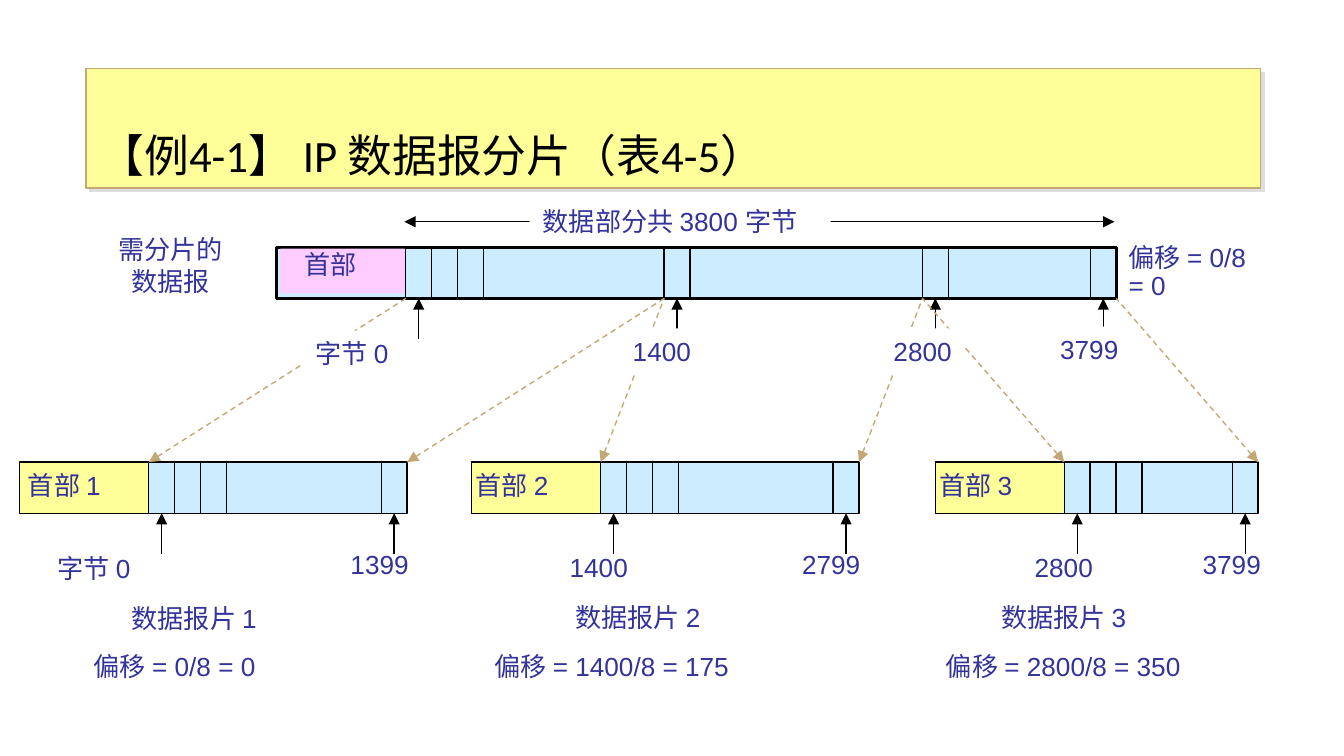
from typing import NamedTuple

from lxml import etree
from pptx import Presentation
from pptx import util as u
from pptx.dml import color
from pptx.enum import dml, shapes, text
from pptx.oxml import ns

Pt = u.Pt

COLORS = {
    "ink": "000000",
    "label": "333399",
    "data": "CCECFF",
    "source_header": "FFCCFF",
    "header": "FFFF99",
    "guide": "C2A874",
    "shadow": "DEDEDE",
    "paper": "FFFFFF",
}
CELL = 13.84
HEADER_CELLS = 5
BAR_HEIGHT = 27.4
POINTER_LENGTH = 21.6
SOURCE_LEFT, SOURCE_TOP, SOURCE_CELLS = 217.4, 132.5, 27.5
FRAGMENT_TOP = 247.6
LABEL_HEIGHT = 23.8
NUMBER_WIDTH, BYTE_WIDTH, NAME_WIDTH = 45.4, 60.5, 88.6


class Fragment(NamedTuple):
    data_left: float
    start_cell: float
    cells: float
    labels: list  # (words, left, top, width)


FRAGMENTS = [
    Fragment(79.7, 0, 10, [
        ("首部 1", 7.9, 247.7, BYTE_WIDTH),
        ("字节 0", 23.8, 292.5, BYTE_WIDTH),
        ("1399", 180.7, 290.2, NUMBER_WIDTH),
        ("数据报片 1", 63.4, 319, NAME_WIDTH),
        ("偏移 = 0/8 = 0", 43.2, 344.9, 108),
    ]),
    Fragment(321.8, 10, 10, [
        ("首部 2", 247.7, 247.7, BYTE_WIDTH),
        ("1400", 298.1, 291.6, NUMBER_WIDTH),
        ("2799", 422.6, 290.2, NUMBER_WIDTH),
        ("数据报片 2", 301, 318.4, NAME_WIDTH),
        ("偏移 = 1400/8 = 175", 257.8, 344.9, 147.6),
    ]),
    Fragment(570.2, 20, 7.5, [
        ("首部 3", 496.1, 247.7, BYTE_WIDTH),
        ("2800", 547.2, 291.6, NUMBER_WIDTH),
        ("3799", 637.2, 290.2, NUMBER_WIDTH),
        ("数据报片 3", 529.2, 318.4, NAME_WIDTH),
        ("偏移 = 2800/8 = 350", 499.7, 344.9, 147.6),
    ]),
]
SOURCE_LABELS = [
    ("首部", 156.2, 129.8, 42.5),
    ("偏移 = 0/8\n= 0", 597.6, 126, 84.2),
]
MASKING_LABELS = [
    ("数据部分共 3800 字节", 283.7, 106.6, 161.3),
    ("字节 0", 162, 177.1, BYTE_WIDTH),
    ("1400", 331.9, 175.9, NUMBER_WIDTH),
    ("2800", 471.6, 175.9, NUMBER_WIDTH),
    ("3799", 560.9, 175, NUMBER_WIDTH),
]


def rgb(name):
    return color.RGBColor.from_string(COLORS[name])


def apply_format(target, values):
    for name, value in values.items():
        setattr(target, name, value)


def paint(shape, fill, line=None, width=0.75):
    shape.fill.solid()
    shape.fill.fore_color.rgb = rgb(fill)
    if line:
        shape.line.color.rgb = rgb(line)
        shape.line.width = Pt(width)
    else:
        shape.line.fill.background()


def add_box(slide, left, top, width, height, fill, line=None, weight=0.75):
    box = slide.shapes.add_shape(
        shapes.MSO_SHAPE.RECTANGLE, Pt(left), Pt(top), Pt(width), Pt(height))
    box.shadow.inherit = False
    paint(box, fill, line, weight)


def add_line(slide, start, end, ink="ink", dash=None, arrows=()):
    """Draw a straight line; arrows names the ends, headEnd (start) or tailEnd."""
    line = slide.shapes.add_connector(
        shapes.MSO_CONNECTOR.STRAIGHT, *(Pt(value) for value in (*start, *end)))
    line.line.color.rgb = rgb(ink)
    apply_format(line.line, {"width": Pt(0.75), "dash_style": dash})
    outline = line.line._get_or_add_ln()
    for arrow in arrows:
        etree.SubElement(outline, ns.qn(f"a:{arrow}"), type="triangle")
    etree.SubElement(line._element.spPr, ns.qn("a:effectLst"))


def add_label(slide, words, left, top, width, height=LABEL_HEIGHT,
              align=text.PP_ALIGN.LEFT, fill=None):
    label = slide.shapes.add_textbox(Pt(left), Pt(top), Pt(width), Pt(height))
    if fill:
        paint(label, fill)
    frame = label.text_frame
    frame.text = words
    apply_format(frame, {"word_wrap": False,
                         "auto_size": text.MSO_AUTO_SIZE.SHAPE_TO_FIT_TEXT})
    for paragraph in frame.paragraphs:
        paragraph.alignment = align
        apply_format(paragraph.font, {"size": Pt(14), "name": "Arial"})
        paragraph.font.color.rgb = rgb("label")
    return frame


def add_dividers(slide, data_left, top, cells):
    for cell in cells:
        x = data_left + cell * CELL
        add_line(slide, (x, top), (x, top + BAR_HEIGHT))


def add_pointers(slide, data_left, top, cells):
    """Point upwards at the middle of each named byte cell."""
    bottom = top + BAR_HEIGHT
    for cell in cells:
        x = data_left + (cell + 0.5) * CELL
        add_line(slide, (x, bottom + POINTER_LENGTH), (x, bottom), arrows=["tailEnd"])


def add_title(slide):
    title = slide.shapes.title
    apply_format(title, {"left": Pt(46.1), "top": Pt(36.7),
                         "width": Pt(629.3), "height": Pt(64.1)})
    paint(title, "header", "guide")
    effects = etree.SubElement(title._element.spPr, ns.qn("a:effectLst"))
    shadow = etree.SubElement(
        effects, ns.qn("a:outerShdw"), dist=str(Pt(2.8)), dir="2700000",
        algn="ctr", rotWithShape="0")
    etree.SubElement(shadow, ns.qn("a:srgbClr"), val=COLORS["shadow"])
    frame = title.text_frame
    frame.text = "【例4-1】 IP 数据报分片（表4-5）"
    apply_format(frame, {"word_wrap": True,
                         "auto_size": text.MSO_AUTO_SIZE.NONE,
                         "vertical_anchor": text.MSO_ANCHOR.BOTTOM})
    heading = frame.paragraphs[0]
    heading.alignment = text.PP_ALIGN.LEFT
    apply_format(heading.font, {"size": Pt(24), "name": "Calibri"})
    heading.font.color.rgb = rgb("ink")


def add_source_datagram(slide):
    header_width = HEADER_CELLS * CELL
    left = SOURCE_LEFT - header_width
    add_box(slide, left, SOURCE_TOP, header_width + SOURCE_CELLS * CELL,
            BAR_HEIGHT, "data", "ink", 1.5)
    add_box(slide, left + 2, SOURCE_TOP + 0.7, header_width - 2, 24, "source_header")
    add_dividers(slide, SOURCE_LEFT, SOURCE_TOP,
                 [0, 1, 2, 3, 10, 11, 20, 21, SOURCE_CELLS - 1])
    add_pointers(slide, SOURCE_LEFT, SOURCE_TOP, [0, 10, 20, SOURCE_CELLS - 1])
    add_line(slide, (SOURCE_LEFT - 0.7, 118.8),
             (SOURCE_LEFT + SOURCE_CELLS * CELL - 1, 118.8),
             arrows=["headEnd", "tailEnd"])
    for words, *place in SOURCE_LABELS:
        frame = add_label(slide, words, *place)
        for paragraph in frame.paragraphs[1:]:
            paragraph.line_spacing = 0.9
    add_label(slide, "需分片的\n数据报", 56.2, 121.7, 70.6, 41,
              text.PP_ALIGN.CENTER)


def add_fragment(slide, fragment):
    left, start, cells, labels = fragment
    header_width = HEADER_CELLS * CELL
    add_box(slide, left, FRAGMENT_TOP, cells * CELL, BAR_HEIGHT, "data", "ink")
    add_box(slide, left - header_width, FRAGMENT_TOP, header_width, BAR_HEIGHT,
            "header", "ink")
    add_dividers(slide, left, FRAGMENT_TOP, [1, 2, 3, cells - 1])
    add_pointers(slide, left, FRAGMENT_TOP, [0, cells - 1])
    for edge in (0, cells):
        add_line(slide, (left + edge * CELL, FRAGMENT_TOP),
                 (SOURCE_LEFT + (start + edge) * CELL, SOURCE_TOP + BAR_HEIGHT),
                 "guide", dml.MSO_LINE.DASH, ["headEnd"])
    for label in labels:
        add_label(slide, *label)


def main():
    deck = Presentation()
    apply_format(deck, {"slide_width": Pt(720), "slide_height": Pt(405)})
    slide = deck.slides.add_slide(deck.slide_layouts[5])
    add_title(slide)
    add_source_datagram(slide)
    for fragment in FRAGMENTS:
        add_fragment(slide, fragment)
    for label in MASKING_LABELS:
        add_label(slide, *label, fill="paper")
    deck.save("out.pptx")


if __name__ == "__main__":
    main()
